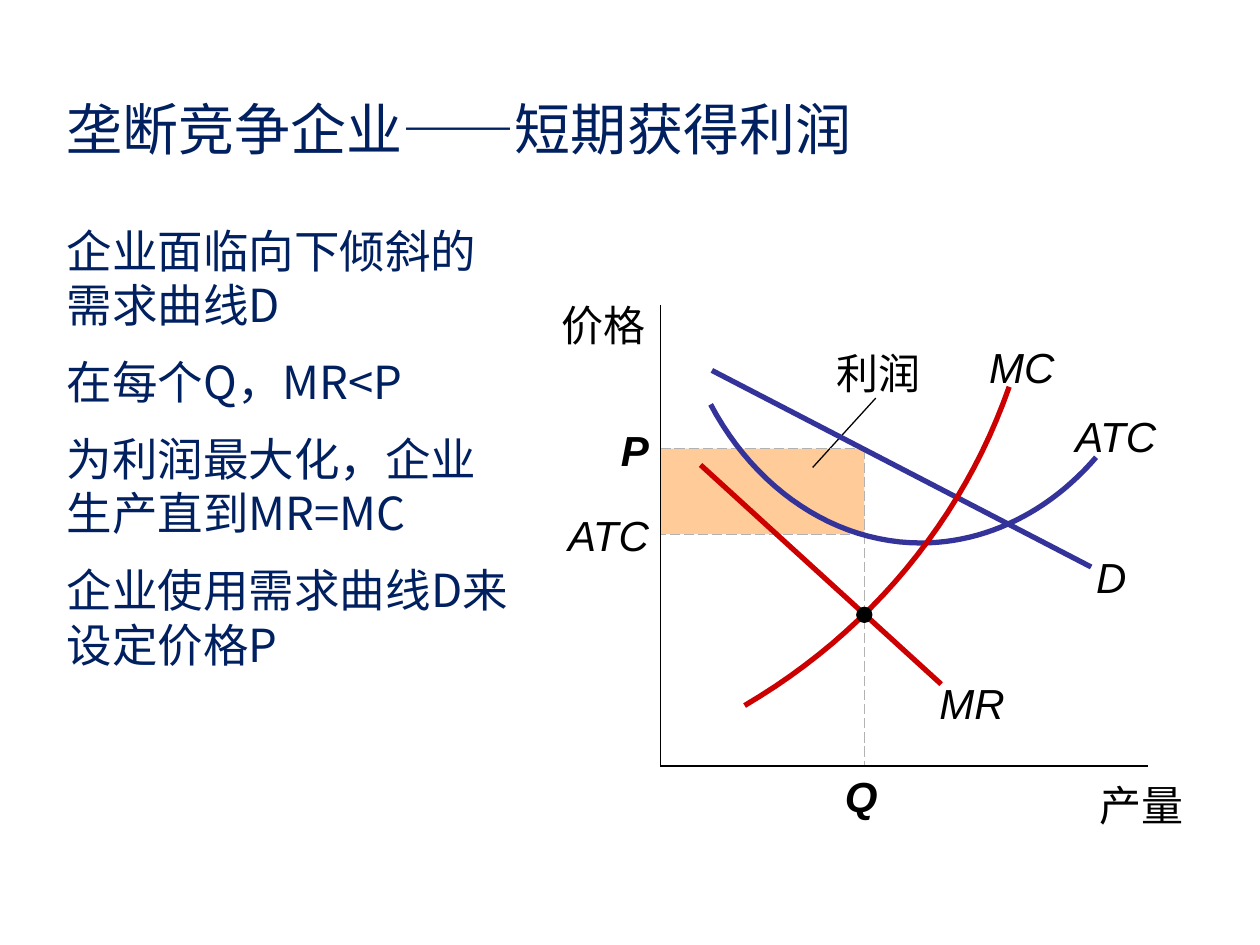
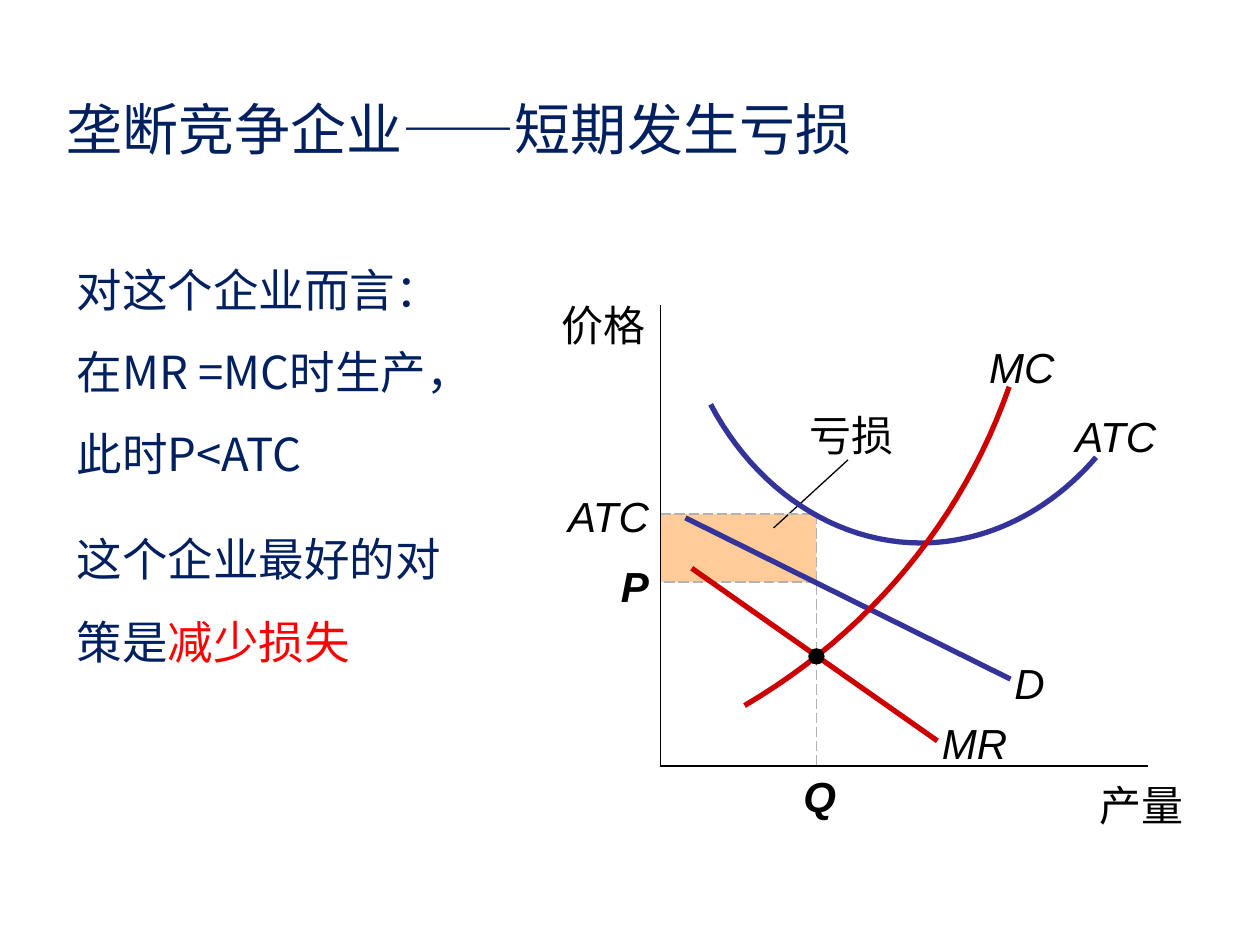
from lxml.etree import SubElement
from pptx import Presentation
from pptx.dml.color import RGBColor
from pptx.enum.dml import MSO_LINE
from pptx.enum.shapes import MSO_CONNECTOR, MSO_SHAPE
from pptx.enum.text import MSO_ANCHOR, MSO_AUTO_SIZE, PP_ALIGN
from pptx.oxml.ns import qn
from pptx.util import Pt

PX = 9144  # 100 px to the inch

NAVY = RGBColor(0x00, 0x20, 0x60)
RED = RGBColor(0xFF, 0x00, 0x00)
BLACK = RGBColor(0x00, 0x00, 0x00)
GUIDE_GREY = RGBColor(0xB2, 0xB2, 0xB2)
AREA_ORANGE = RGBColor(0xFF, 0xCC, 0x99)
CURVE_BLUE = RGBColor(0x33, 0x33, 0x99)
CURVE_RED = RGBColor(0xCC, 0x00, 0x00)

CHINESE_FONT = "Noto Sans CJK SC"
LABEL_FONT = "Arial"
LEFT, CENTER, RIGHT = PP_ALIGN.LEFT, PP_ALIGN.CENTER, PP_ALIGN.RIGHT

AXIS_X, AXIS_TOP, AXIS_Y, AXIS_END = 524, 242, 608, 911
DOT = 13

# Bézier segments: four (x, y) control points each
CURVES = [
    (CURVE_BLUE, [((870, 363), (833, 406), (783, 431), (731, 431)),
                  ((731, 431), (663, 431), (600, 389), (564, 321))]),
    (CURVE_RED, [((591, 560), (690, 502), (764, 413), (801, 307))]),
]
# text, left, top, width, alignment, bold, italic
SHARED_LABELS = [
    ("产量", 805, 617, 134, RIGHT, False, False),
    ("价格", 361, 236, 151, RIGHT, False, False),
    ("ATC", 840, 324, 91, CENTER, False, True),
    ("MC", 779, 269, 64, CENTER, False, True),
]

CASES = [
    {
        "title": "垄断竞争企业——短期获得利润", "title_width": 668,
        "body_box": (43, 172, 371, 402), "line_pitch": 31,
        "body": [
            [("企业面临向下倾斜的需求曲线D", NAVY)],
            [("在每个Q，MR<P", NAVY)],
            [("为利润最大化，企业生产直到MR=MC", NAVY)],
            [("企业使用需求曲线D来设定价格P", NAVY)],
        ],
        "quantity": 686, "upper": 356, "lower": 424, "meeting": 488,
        "pointer": (645, 371, 695, 316),
        "demand": (565, 294, 866, 450), "revenue": (556, 369, 747, 543),
        "labels": [
            ("利润", 654, 274, 86, CENTER, False, False),
            ("P", 485, 335, 30, RIGHT, True, True),
            ("ATC", 441, 403, 74, RIGHT, False, True),
            ("Q", 655, 610, 57, CENTER, True, True),
            ("D", 858, 436, 48, CENTER, False, True),
            ("MR", 739, 536, 65, CENTER, False, True),
        ],
    },
    {
        "title": "垄断竞争企业——短期发生亏损", "title_width": 779,
        "body_box": (51, 181, 341, 378), "line_pitch": 47,
        "body": [
            [("对这个企业而言：在MR =MC时生产，此时P<ATC", NAVY)],
            [("这个企业最好的对策是", NAVY), ("减少损失", RED)],
        ],
        "quantity": 648, "upper": 408, "lower": 462, "meeting": 521,
        "pointer": (614, 419, 673, 365),
        "demand": (544, 411, 802, 539), "revenue": (549, 451, 744, 588),
        "labels": [
            ("亏损", 622, 323, 107, CENTER, False, False),
            ("P", 485, 443, 30, RIGHT, True, True),
            ("ATC", 441, 388, 74, RIGHT, False, True),
            ("Q", 622, 610, 57, CENTER, True, True),
            ("D", 793, 520, 48, CENTER, False, True),
            ("MR", 741, 568, 65, CENTER, False, True),
        ],
    },
]


def add_run(paragraph, text, font_name, size, color, bold=False, italic=False):
    run = paragraph.add_run()
    run.text = text
    font = run.font
    font.name, font.size = font_name, Pt(size)
    font.bold, font.italic = bold, italic
    font.color.rgb = color
    east_asian = SubElement(run._r.rPr, qn("a:ea"))
    east_asian.set("typeface", CHINESE_FONT)


def add_line(slide, ends, color, width=0.75, dashed=False):
    line = slide.shapes.add_connector(MSO_CONNECTOR.STRAIGHT, *[value * PX for value in ends])
    line.line.color.rgb = color
    line.line.width = Pt(width)
    if dashed:
        line.line.dash_style = MSO_LINE.LONG_DASH
    SubElement(line._element.spPr, qn("a:effectLst"))


presentation = Presentation()
presentation.slide_width = 1000 * PX
presentation.slide_height = 750 * PX
title_only = presentation.slide_layouts[5]

for case in CASES:
    slide = presentation.slides.add_slide(title_only)

    title = slide.shapes.title
    title.left, title.top = 43 * PX, 76 * PX
    title.width, title.height = case["title_width"] * PX, 51 * PX
    title.text_frame.auto_size = MSO_AUTO_SIZE.NONE
    title.text_frame.vertical_anchor = MSO_ANCHOR.MIDDLE
    paragraph = title.text_frame.paragraphs[0]
    paragraph.alignment = LEFT
    add_run(paragraph, case["title"], CHINESE_FONT, 32, NAVY)

    body = slide.shapes.add_textbox(*[value * PX for value in case["body_box"]])
    frame = body.text_frame
    frame.word_wrap = True
    for index, runs in enumerate(case["body"]):
        paragraph = frame.add_paragraph() if index else frame.paragraphs[0]
        paragraph.line_spacing = Pt(case["line_pitch"])
        if index:
            paragraph.space_before = Pt(13)
        for text, color in runs:
            add_run(paragraph, text, CHINESE_FONT, 26, color)

    quantity, upper, lower = case["quantity"], case["upper"], case["lower"]
    area = slide.shapes.add_shape(
        MSO_SHAPE.RECTANGLE, AXIS_X * PX, upper * PX,
        (quantity - AXIS_X) * PX, (lower - upper) * PX)
    area.shadow.inherit = False
    area.fill.solid()
    area.fill.fore_color.rgb = AREA_ORANGE
    area.line.fill.background()

    add_line(slide, case["pointer"], BLACK)
    for guide in [(AXIS_X, upper, quantity, upper), (quantity, lower, AXIS_X, lower),
                  (quantity, upper, quantity, AXIS_Y)]:
        add_line(slide, guide, GUIDE_GREY, dashed=True)
    add_line(slide, (AXIS_X, AXIS_TOP, AXIS_X, AXIS_Y), BLACK)
    add_line(slide, (AXIS_X, AXIS_Y, AXIS_END, AXIS_Y), BLACK)
    add_line(slide, case["demand"], CURVE_BLUE, 3)
    add_line(slide, case["revenue"], CURVE_RED, 3)

    for color, segments in CURVES:
        points = []
        for controls in segments:
            for step in range(25):
                t = step / 24
                weights = ((1 - t) ** 3, 3 * t * (1 - t) ** 2, 3 * t ** 2 * (1 - t), t ** 3)
                points.append(tuple(
                    round(PX * sum(weight * point[axis] for weight, point in zip(weights, controls)))
                    for axis in (0, 1)))
        builder = slide.shapes.build_freeform(*points[0])
        builder.add_line_segments(points[1:], close=False)
        curve = builder.convert_to_shape()
        curve.shadow.inherit = False
        curve.fill.background()
        curve.line.color.rgb = color
        curve.line.width = Pt(3)

    dot = slide.shapes.add_shape(
        MSO_SHAPE.OVAL, round((quantity - DOT / 2) * PX), round((case["meeting"] - DOT / 2) * PX),
        DOT * PX, DOT * PX)
    dot.shadow.inherit = False
    dot.fill.solid()
    dot.fill.fore_color.rgb = BLACK
    dot.line.fill.background()

    for text, left, top, width, alignment, bold, italic in SHARED_LABELS + case["labels"]:
        label = slide.shapes.add_textbox(left * PX, top * PX, width * PX, 40 * PX)
        frame = label.text_frame
        frame.word_wrap = True
        frame.margin_left = frame.margin_right = frame.margin_top = frame.margin_bottom = 0
        paragraph = frame.paragraphs[0]
        paragraph.alignment = alignment
        paragraph.line_spacing = Pt(30)
        add_run(paragraph, text, LABEL_FONT, 24, BLACK, bold, italic)

presentation.save("out.pptx")
